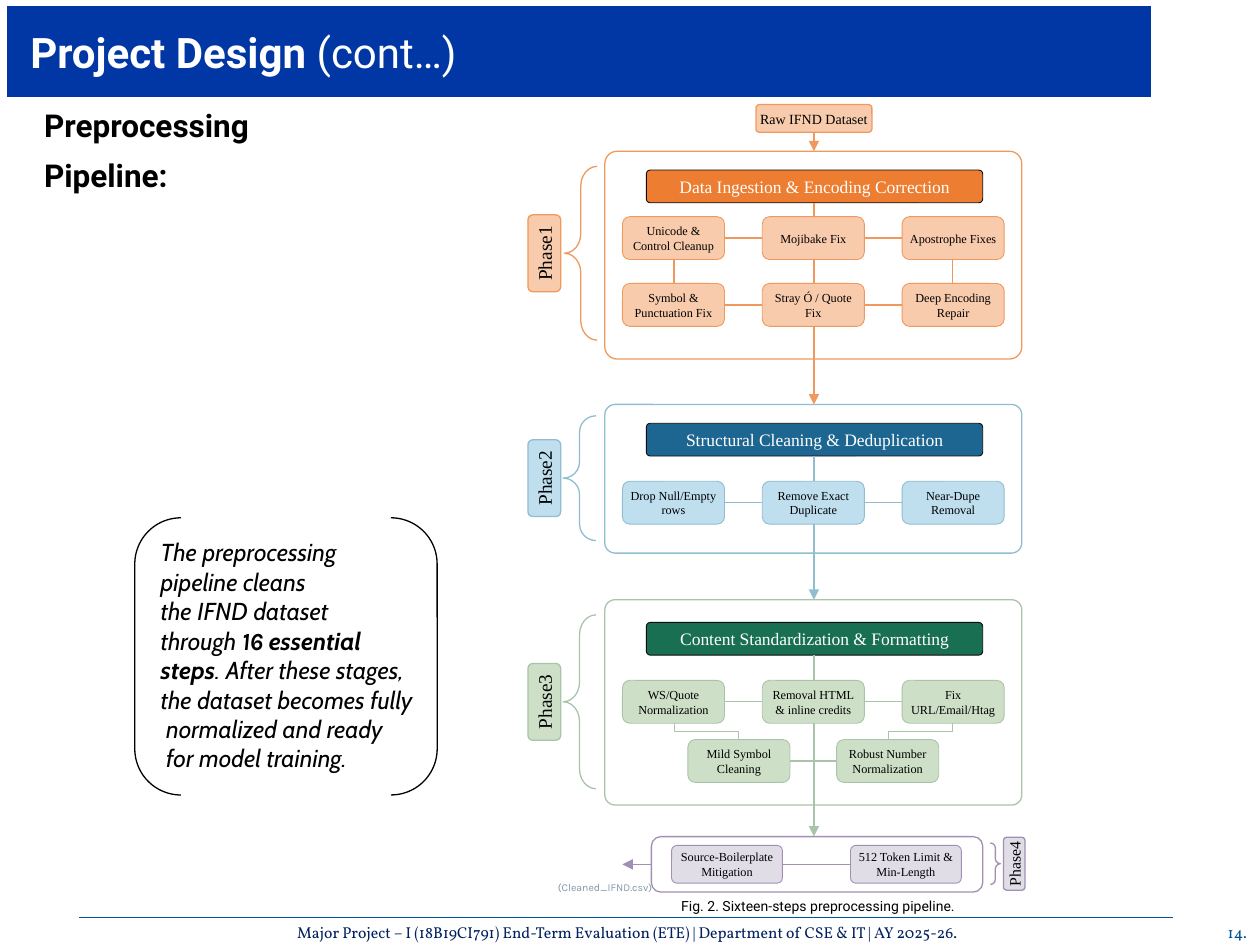
from pptx import Presentation
from pptx.dml.color import RGBColor
from pptx.enum.shapes import MSO_CONNECTOR as LINK, MSO_SHAPE as SHAPE
from pptx.enum.text import MSO_ANCHOR as ANCHOR, PP_ALIGN as ALIGN
from pptx.oxml.ns import qn
from pptx.util import Pt
from lxml.etree import SubElement

PX = 9144  # 100 px to the inch
SERIF, SANS = "Times New Roman", "Roboto"
BLACK, WHITE = "000000", "FFFFFF"

# Content: panels and braces are (x, y, w, h); a row is (xs, y, labels)
COLUMNS = (494, 605, 716)
SPINE = 646
PHASES = [
    dict(name="Phase1", line="F0995E", tint="F8CBAD",
         panel=(480, 120, 331, 165), corner=0.06, brace=(448, 132, 26, 138),
         banner=("Data Ingestion & Encoding Correction", "ED7D31", 135),
         rows=[(COLUMNS, 172, ["Unicode &\nControl Cleanup", "Mojibake Fix",
                               "Apostrophe Fixes"]),
               (COLUMNS, 225, ["Symbol &\nPunctuation Fix", "Stray Ó / Quote\nFix",
                               "Deep Encoding\nRepair"])],
         drops=[(SPINE, 161, 172), (535, 206, 225), (SPINE, 206, 225), (756, 206, 225)],
         arrows=[(SPINE, 105, 120), (SPINE, 259, 321)]),
    dict(name="Phase2", line="90BDD0", tint="BFDFEF",
         panel=(480, 321, 331, 118), corner=0.07, brace=(447, 330, 26, 99),
         banner=("Structural Cleaning & Deduplication", "1D6691", 336),
         rows=[(COLUMNS, 382, ["Drop Null/Empty\nrows", "Remove Exact\nDuplicate",
                               "Near-Dupe\nRemoval"])],
         drops=[(SPINE, 362, 382)], arrows=[(SPINE, 416, 476)]),
    dict(name="Phase3", line="A9C4A8", tint="CDE0C7",
         panel=(480, 476, 331, 163), corner=0.05, brace=(447, 488, 26, 138),
         banner=("Content Standardization & Formatting", "186F51", 494),
         rows=[(COLUMNS, 540, ["WS/Quote\nNormalization", "Removal HTML\n& inline credits",
                               "Fix\nURL/Email/Htag"]),
               ((546, 664), 587, ["Mild Symbol\nCleaning", "Robust Number\nNormalization"])],
         drops=[(SPINE, 520, 540)], arrows=[(SPINE, 574, 664)],
         elbows=[(535, 574, 586, 587), (756, 574, 705, 587)]),
    dict(name="Phase4", line="A28FB3", tint="E1DDE7",
         panel=(517, 664, 263, 44), corner=0.17, brace=(786, 669, 8, 33),
         rows=[((533, 675), 671, ["Source-Boilerplate\nMitigation",
                                  "512 Token Limit &\nMin-Length"])],
         node=(88, 30, 0.14), tag=(805, 42, 17, 9), brace_kind=SHAPE.RIGHT_BRACE),
]
NODE = (81, 34, 0.17)    # width, height, corner
TAG = (432, 61, 26, 11)  # centre x, length, thickness, text size
SUMMARY = [
    "The preprocessing", "pipeline cleans", "the IFND dataset",
    [("through ", {}), ("16 ", dict(name="Karla", bold=True)), ("essential", dict(bold=True))],
    [("steps", dict(bold=True)), (". After these stages,", {})],
    "the dataset becomes fully", " normalized and ready", " for model training.",
]
FOOTER = ("Major Project – I (18B19CI791) End-Term Evaluation (ETE) | "
          "Department of CSE & IT | AY 2025-26.")


def px(*lengths):
    return [round(length * PX) for length in lengths]


def color(code):
    return RGBColor.from_string(code)


def write(shape, paragraphs, font, size, ink, align=ALIGN.CENTER, anchor=ANCHOR.MIDDLE,
          bold=False, italic=False, gap=0, wrap=False):
    frame = shape.text_frame
    frame.word_wrap, frame.vertical_anchor = wrap, anchor
    for index, content in enumerate(paragraphs):
        para = frame.add_paragraph() if index else frame.paragraphs[0]
        para.alignment = align
        if index and gap:
            para.space_before = Pt(gap)
        para.font.name, para.font.size = font, Pt(size)
        para.font.bold, para.font.italic = bold, italic
        para.font.color.rgb = color(ink)
        for text, changes in [(content, {})] if isinstance(content, str) else content:
            span = para.add_run()
            span.text = text
            for key, value in changes.items():
                setattr(span.font, key, value)
    return frame


def add_box(kind, area, fill, line, width=0.75, corners=()):
    shape = slide.shapes.add_shape(kind, *px(*area))
    shape.shadow.inherit = False
    shape.fill.solid()
    shape.fill.fore_color.rgb = color(fill)
    shape.line.color.rgb = color(line)
    shape.line.width = Pt(width)
    for index, value in enumerate(corners):
        shape.adjustments[index] = value
    return shape


def add_label(area, fill, line, text, size, ink=BLACK, width=0.75, corner=0.12):
    shape = add_box(SHAPE.ROUNDED_RECTANGLE, area, fill, line, width, [corner])
    write(shape, text.split("\n"), SERIF, size, ink)
    return shape


def add_text(area, paragraphs, *style, **options):
    return write(slide.shapes.add_textbox(*px(*area)), paragraphs, *style, **options)


def add_link(points, line, arrow=False, kind=LINK.STRAIGHT):
    link = slide.shapes.add_connector(kind, *px(*points))
    link.line.color.rgb = color(line)
    link.line.width = Pt(0.75)
    properties = link._element.spPr
    SubElement(properties, qn("a:effectLst"))
    if arrow:
        SubElement(properties.find(qn("a:ln")), qn("a:tailEnd"), type="triangle")
    return link


def add_elbow(x1, y1, x2, y2, line):
    """Elbow that leaves downwards: a sideways one turned by a quarter."""
    middle_x, middle_y = (x1 + x2) / 2, (y1 + y2) / 2
    half_w, half_h = (y2 - y1) / 2, abs(x2 - x1) / 2
    side = 1 if x2 > x1 else -1
    link = add_link((middle_x + side * half_w, middle_y - half_h,
                     middle_x - side * half_w, middle_y + half_h), line, kind=LINK.ELBOW)
    turn = 270 if side > 0 else 90
    link._element.spPr.find(qn("a:xfrm")).set("rot", str(turn * 60000))


def draw_phase(phase):
    line, tint = phase["line"], phase["tint"]
    add_box(SHAPE.ROUNDED_RECTANGLE, phase["panel"], WHITE, line, corners=[phase["corner"]])
    if "banner" in phase:
        title, fill, top = phase["banner"]
        add_label((513, top, 267, 26), fill, "0D0D0D", title, 10, WHITE, 0.5)

    # Steps, joined along each row
    node_w, node_h, corner = phase.get("node", NODE)
    for xs, top, labels in phase["rows"]:
        for x, label in zip(xs, labels):
            add_label((x, top, node_w, node_h), tint, line, label, 7, width=0.5, corner=corner)
        middle = top + node_h / 2
        for x, following in zip(xs, xs[1:]):
            add_link((x + node_w, middle, following, middle), line)

    # Brace and upright tag
    x, top, width, height = phase["brace"]
    add_box(phase.get("brace_kind", SHAPE.LEFT_BRACE), phase["brace"], WHITE, line,
            corners=[0.6 if height > 100 else 0.5, 0.5])
    center, length, thick, size = phase.get("tag", TAG)
    tag = add_label((center - length / 2, top + height / 2 - thick / 2, length, thick),
                    tint, line, phase["name"], size, corner=0.15)
    tag.rotation = 270


def draw_flow(phase):
    for key in ("drops", "arrows"):
        for x, top, bottom in phase.get(key, []):
            add_link((x, top, x, bottom), phase["line"], arrow=key == "arrows")
    for points in phase.get("elbows", []):
        add_elbow(*points, phase["line"])


deck = Presentation()
deck.slide_width, deck.slide_height = px(1000, 750)
slide = deck.slides.add_slide(deck.slide_layouts[6])

# Footer
add_text((22, 731, 951, 21), [FOOTER], "Vollkorn", 9, "002060", anchor=ANCHOR.BOTTOM)
add_text((962, 727, 40, 25), ["14."], "Vollkorn", 9, "005493", anchor=ANCHOR.TOP)
add_link((63, 728, 931, 728), "005493")

# Title and heading
title_bar = add_box(SHAPE.RECTANGLE, (4, 3, 911, 76), "0037A4", WHITE, 2.5)
frame = write(title_bar, [[("Project Design ", dict(bold=True)), ("(cont…)", {})]],
              SANS, 24, WHITE, ALIGN.LEFT)
frame.margin_left = px(20)[0]
frame = add_text((15, 79, 400, 90), ["Preprocessing", "Pipeline:"], SANS, 18, BLACK,
                 align=ALIGN.LEFT, anchor=ANCHOR.TOP, bold=True, gap=7, wrap=True)
frame.margin_left = px(20)[0]

# Pipeline
add_label((600, 83, 92, 22), PHASES[0]["tint"], PHASES[0]["line"], "Raw IFND Dataset", 8)
for phase in PHASES:
    draw_phase(phase)
for phase in PHASES:
    draw_flow(phase)
add_link((517, 686, 494, 686), PHASES[-1]["line"], arrow=True)

# Summary, caption and output file
summary = add_box(SHAPE.DOUBLE_BRACKET, (107, 411, 240, 220), WHITE, BLACK)
write(summary, SUMMARY, "Cabin", 14, BLACK, ALIGN.LEFT, ANCHOR.TOP, italic=True)
add_text((528, 707, 243, 24), ["Fig. 2. Sixteen-steps preprocessing pipeline."], SANS, 8, BLACK)
add_text((433, 694, 100, 20), ["(Cleaned_IFND.csv)"], "Karla", 6, "8295A6",
         align=ALIGN.LEFT, anchor=ANCHOR.TOP, wrap=True)

deck.save("out.pptx")
